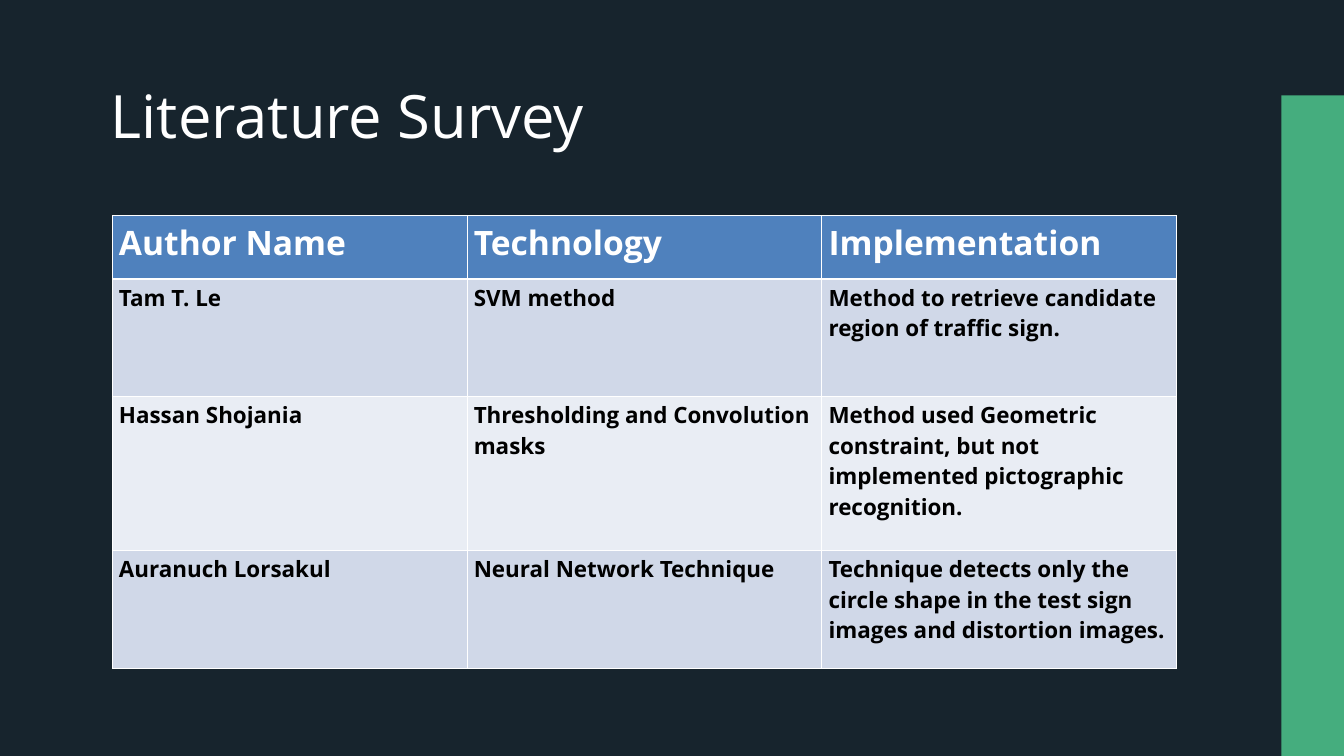
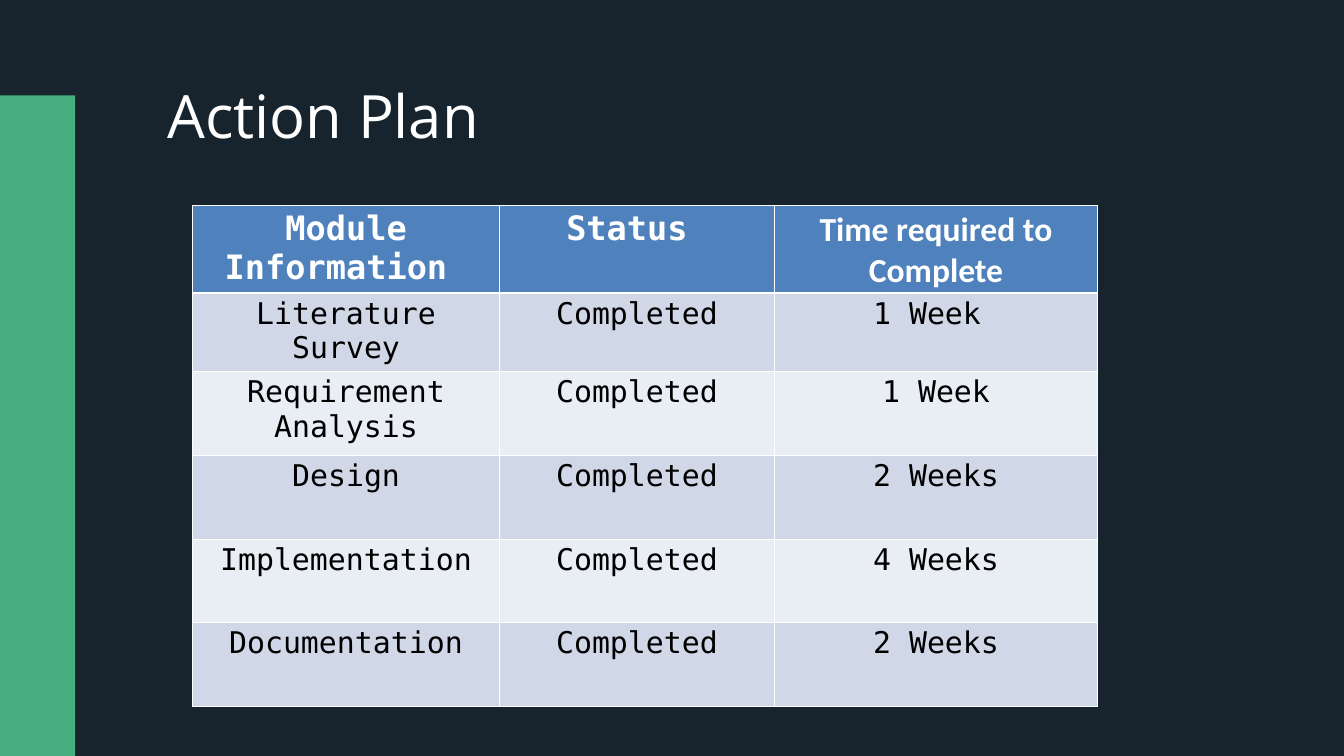
"""Build the literature survey and action plan slides."""
from dataclasses import dataclass

from lxml import etree
from pptx import Presentation
from pptx import util as u
from pptx.dml.color import RGBColor
from pptx.enum import shapes, text
from pptx.oxml.ns import qn


@dataclass(frozen=True)
class Theme:
    background: str = "17242D"
    band: str = "45AD7E"
    header: str = "4F81BD"
    rows: tuple[str, ...] = ("D0D8E8", "E9EDF4")
    light: str = "FFFFFF"
    dark: str = "000000"
    sans: str = "Open Sans"
    mono: str = "DejaVu Sans Mono"
    alternate: str = "Calibri"
    title_size: float = 64
    title_spacing: float = 89.6
    header_size: float = 36
    border: float = 1
    header_rule: float = 3


THEME = Theme()


@dataclass(frozen=True)
class Box:
    left: float
    top: float
    width: float
    height: float

    def lengths(self) -> tuple[u.Length, ...]:
        return tuple(u.Inches(v) for v in (self.left, self.top, self.width, self.height))


@dataclass(frozen=True)
class TextStyle:
    font: str
    size: float
    color: str
    bold: bool
    align: text.PP_ALIGN = text.PP_ALIGN.LEFT


@dataclass(frozen=True)
class TableData:
    left: float
    top: float
    col_widths: tuple[float, ...]
    row_heights: tuple[float, ...]
    header_styles: tuple[TextStyle, ...]
    body_style: TextStyle
    rows: tuple[tuple[str, ...], ...]


@dataclass(frozen=True)
class SlideData:
    title: str
    title_box: Box
    band_box: Box
    table: TableData


def rgb(value: str) -> RGBColor:
    return RGBColor.from_string(value)


def style_text(tf, style: TextStyle) -> None:
    for p in tf.paragraphs:
        p.alignment = style.align
        for r in p.runs:
            r.font.name = style.font
            r.font.size = u.Pt(style.size)
            r.font.bold = style.bold
            r.font.color.rgb = rgb(style.color)


def add_title(slide, title: str, box: Box) -> None:
    tf = slide.shapes.add_textbox(*box.lengths()).text_frame
    tf.word_wrap = True
    tf.auto_size = text.MSO_AUTO_SIZE.SHAPE_TO_FIT_TEXT
    tf.margin_left = tf.margin_top = tf.margin_right = tf.margin_bottom = 0
    tf.text = title
    tf.paragraphs[0].line_spacing = u.Pt(THEME.title_spacing)
    style_text(tf, TextStyle(THEME.sans, THEME.title_size, THEME.light, False,
                             text.PP_ALIGN.CENTER))


def add_band(slide, box: Box) -> None:
    sp = slide.shapes.add_shape(shapes.MSO_SHAPE.RECTANGLE, *box.lengths())
    sp.shadow.inherit = False
    sp.fill.solid()
    sp.fill.fore_color.rgb = rgb(THEME.band)
    sp.line.fill.background()


def set_borders(cell, top: float, bottom: float) -> None:
    tc_pr = cell._tc.get_or_add_tcPr()
    widths = {"a:lnL": THEME.border, "a:lnR": THEME.border, "a:lnT": top, "a:lnB": bottom}
    for i, (tag, width) in enumerate(widths.items()):
        ln = etree.Element(qn(tag), w=str(u.Pt(width)))
        fill = etree.SubElement(ln, qn("a:solidFill"))
        etree.SubElement(fill, qn("a:srgbClr"), val=THEME.light)
        tc_pr.insert(i, ln)


def add_table(slide, data: TableData) -> None:
    box = Box(data.left, data.top, sum(data.col_widths), sum(data.row_heights))
    table = slide.shapes.add_table(
        len(data.rows), len(data.col_widths), *box.lengths()).table
    for column, width in zip(table.columns, data.col_widths):
        column.width = u.Inches(width)
    for i, (height, values) in enumerate(zip(data.row_heights, data.rows)):
        table.rows[i].height = u.Inches(height)
        for j, value in enumerate(values):
            cell = table.cell(i, j)
            cell.text_frame.text = value
            style_text(cell.text_frame, data.body_style if i else data.header_styles[j])
            cell.fill.solid()
            fill = THEME.rows[(i - 1) % len(THEME.rows)] if i else THEME.header
            cell.fill.fore_color.rgb = rgb(fill)
            set_borders(cell, THEME.header_rule if i == 1 else THEME.border,
                        THEME.border if i else THEME.header_rule)


def add_slide(prs, data: SlideData) -> None:
    slide = prs.slides.add_slide(prs.slide_layouts[6])
    slide.background.fill.solid()
    slide.background.fill.fore_color.rgb = rgb(THEME.background)
    add_title(slide, data.title, data.title_box)
    add_band(slide, data.band_box)
    add_table(slide, data.table)


def header_style(font: str, align: text.PP_ALIGN) -> TextStyle:
    return TextStyle(font, THEME.header_size, THEME.light, True, align)


SURVEY = SlideData(
    "Literature Survey", Box(1.12, 0.99, 8.1, 1.2), Box(19.07, 1.42, 0.93, 9.83),
    TableData(
        1.67, 3.21, (5.28,) * 3, (0.94, 1.75, 2.29, 1.75),
        (header_style(THEME.sans, text.PP_ALIGN.LEFT),) * 3,
        TextStyle(THEME.sans, 24, THEME.dark, True),
        (
            ("Author Name", "Technology", "Implementation"),
            ("Tam T. Le", "SVM method",
             "Method to retrieve candidate region of traffic sign."),
            ("Hassan Shojania", "Thresholding and Convolution masks",
             "Method used Geometric constraint, but not implemented "
             "pictographic recognition."),
            ("Auranuch Lorsakul", "Neural Network Technique",
             "Technique detects only the circle shape in the test sign "
             "images and distortion images."),
        ),
    ),
)

PLAN = SlideData(
    "Action Plan", Box(1.12, 0.99, 7.38, 1.26), Box(0, 1.42, 1.12, 9.83),
    TableData(
        2.87, 3.06, (4.56, 4.1, 4.8), (1.25, 0.72, 1.25, 1.25, 1.24, 1.25),
        tuple(header_style(font, text.PP_ALIGN.CENTER)
              for font in (THEME.mono, THEME.mono, THEME.alternate)),
        TextStyle(THEME.mono, 32, THEME.dark, False, text.PP_ALIGN.CENTER),
        (
            ("Module Information ", "Status ", "Time required to Complete"),
            ("Literature Survey", "Completed", "1 Week "),
            ("Requirement Analysis", "Completed", "1 Week"),
            ("Design", "Completed", "2 Weeks"),
            ("Implementation", "Completed", "4 Weeks"),
            ("Documentation", "Completed", "2 Weeks"),
        ),
    ),
)


def main() -> None:
    prs = Presentation()
    prs.slide_width = u.Inches(20)
    prs.slide_height = u.Inches(11.25)
    for data in (SURVEY, PLAN):
        add_slide(prs, data)
    prs.save("out.pptx")


if __name__ == "__main__":
    main()
